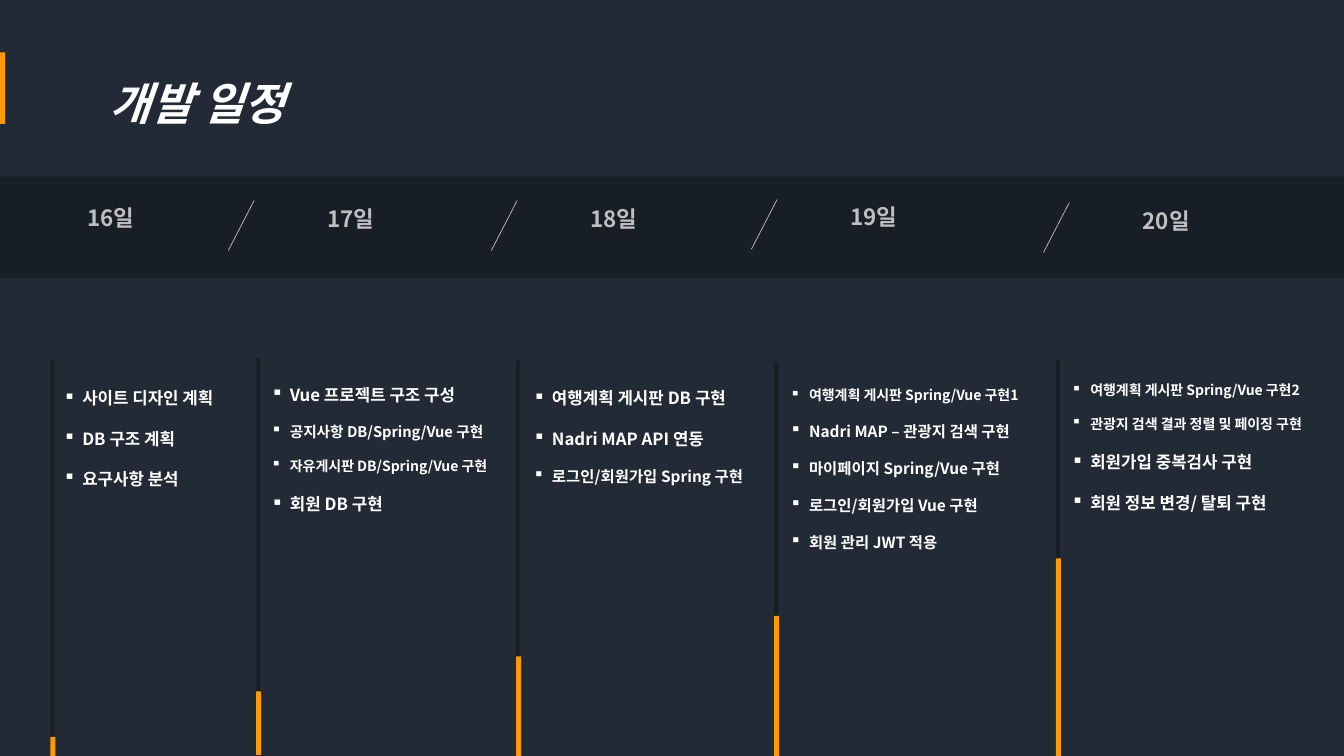
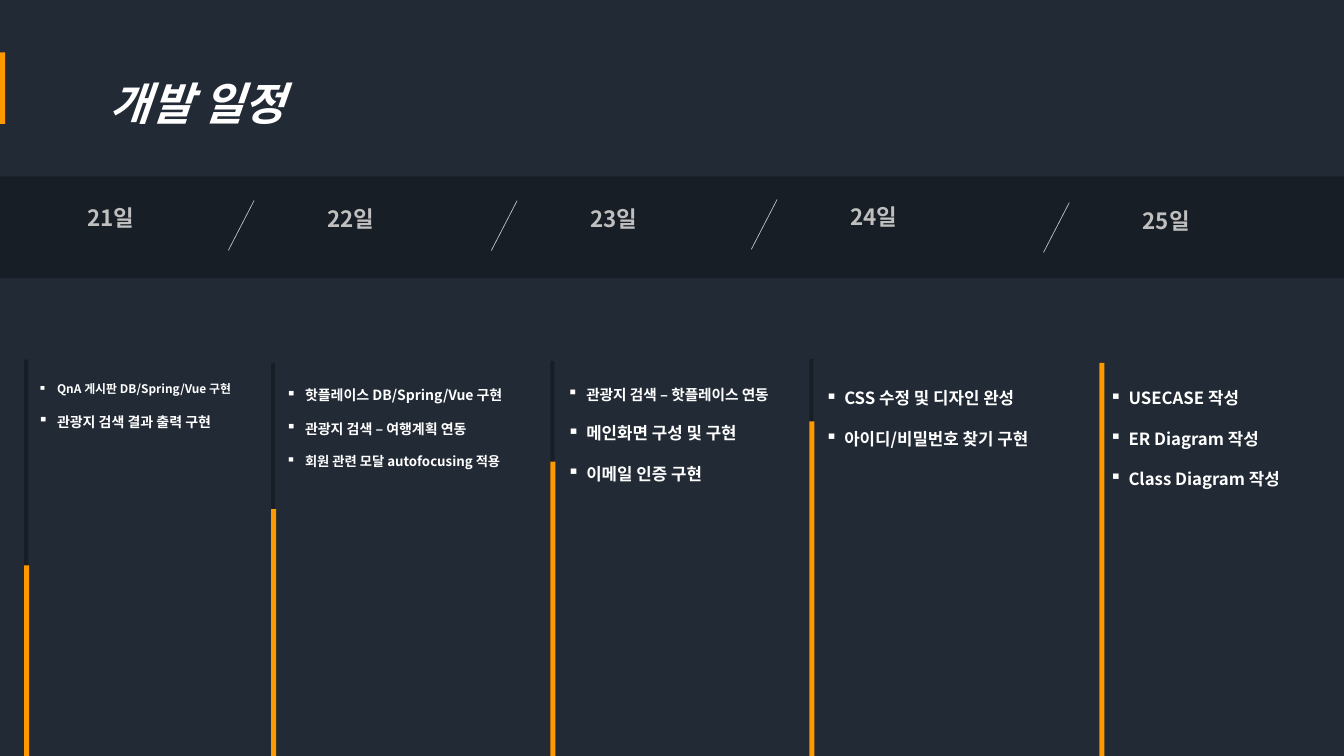
from dataclasses import dataclass

from lxml import etree
from pptx import Presentation
from pptx import util as u
from pptx.dml import color
from pptx.enum import shapes, text
from pptx.oxml import ns

# Shared style
FONT = "Noto Sans CJK KR"
BACK, DARK, ACCENT, GREY, WHITE = "222A35", "181E26", "FF9900", "BFBFBF", "FFFFFF"
PAGE_W, PAGE_H = 960, 540
BAR_W, TRACK_W, TRACK_H = 3.6, 2.9, 283.7
TITLE_INDENT, BULLET_INDENT = 62, 13.5
TITLE = "개발 일정"
TITLE_STYLE = {"size": u.Pt(32), "bold": True, "italic": True}
DAY_STYLE = {"size": u.Pt(16), "bold": True}


@dataclass(frozen=True)
class Box:
    left: float
    top: float
    width: float
    height: float

    def lengths(self) -> list:
        return [u.Pt(v) for v in (self.left, self.top, self.width, self.height)]


@dataclass(frozen=True)
class Task:
    label: str
    size: float = 12


@dataclass(frozen=True)
class Column:
    left: float
    top: float
    progress: float
    task_box: Box
    tasks: list[Task]


@dataclass(frozen=True)
class Schedule:
    first_day: int
    columns: list[Column]


# Day labels (left, top) and the slashes between them (right, top)
DAYS = [(53.3, 132.5), (224.6, 133.2), (412.6, 133.2), (598.3, 131.8), (807.1, 134.6)]
SLASHES = [(181.5, 143.3), (369.4, 143.3), (555.1, 142.5), (763.8, 144.7)]
SLASH_W, SLASH_H = 18.4, 35.6

SCHEDULES = [
    Schedule(16, [
        Column(36, 257, 14.4, Box(38.2, 259.2, 162.7, 90), [
            Task("사이트 디자인 계획"), Task("DB 구조 계획"), Task("요구사항 분석")]),
        Column(182.9, 255.6, 45.4, Box(186.5, 257, 180.7, 110.2), [
            Task("Vue 프로젝트 구조 구성"),
            Task("공지사항 DB/Spring/Vue 구현", 10.5),
            Task("자유게시판 DB/Spring/Vue 구현", 10),
            Task("회원 DB 구현")]),
        Column(368.6, 257.8, 72.7, Box(373.7, 259.2, 176.4, 87.8), [
            Task("여행계획 게시판 DB 구현"),
            Task("Nadri MAP API 연동"),
            Task("로그인/회원가입 Spring 구현", 11)]),
        Column(553, 258.5, 102.2, Box(557.3, 260.6, 195.1, 160.6), [
            Task("여행계획 게시판 Spring/Vue 구현1", 10),
            Task("Nadri MAP – 관광지 검색 구현", 11),
            Task("마이페이지 Spring/Vue 구현", 11),
            Task("로그인/회원가입 Vue 구현", 11),
            Task("회원 관리 JWT 적용", 11)]),
        Column(754.2, 257, 141.8, Box(758.2, 257, 200.9, 109.4), [
            Task("여행계획 게시판 Spring/Vue 구현2", 10),
            Task("관광지 검색 결과 정렬 및 페이징 구현", 10),
            Task("회원가입 중복검사 구현"),
            Task("회원 정보 변경/ 탈퇴 구현")]),
    ]),
    Schedule(21, [
        Column(17.3, 257, 136.8, Box(20.2, 259.2, 163.4, 48.2), [
            Task("QnA 게시판 DB/Spring/Vue 구현", 8.5),
            Task("관광지 검색 결과 출력 구현", 10)]),
        Column(193.7, 259.2, 179.3, Box(197.3, 260.6, 180.7, 132.5), [
            Task("핫플레이스 DB/Spring/Vue 구현", 10),
            Task("관광지 검색 – 여행계획 연동", 10),
            Task("회원 관련 모달 autofocusing 적용", 9.5)]),
        Column(393.1, 257.8, 211.7, Box(398.2, 259.2, 178.6, 86.4), [
            Task("관광지 검색 – 핫플레이스 연동", 10.5),
            Task("메인화면 구성 및 구현"),
            Task("이메일 인증 구현")]),
        Column(578.2, 256.3, 239, Box(582.5, 259.2, 182.9, 60.5), [
            Task("CSS 수정 및 디자인 완성"),
            Task("아이디/비밀번호 찾기 구현")]),
        Column(785.2, 259.2, TRACK_H, Box(785.5, 259.2, 138.2, 90), [
            Task("USECASE 작성"), Task("ER Diagram 작성"), Task("Class Diagram 작성")]),
    ]),
]


# Drawing helpers
def rgb(value: str) -> color.RGBColor:
    return color.RGBColor.from_string(value)


def draw_bar(page, box: Box, fill: str) -> None:
    bar = page.shapes.add_shape(shapes.MSO_SHAPE.RECTANGLE, *box.lengths())
    bar.shadow.inherit = False
    bar.fill.solid()
    bar.fill.fore_color.rgb = rgb(fill)
    bar.line.fill.background()


def draw_slash(page, right: float, top: float) -> None:
    ends = [u.Pt(v) for v in (right, top, right - SLASH_W, top + SLASH_H)]
    slash = page.shapes.add_connector(shapes.MSO_CONNECTOR.STRAIGHT, *ends)
    slash.line.color.rgb = rgb(GREY)
    slash.line.width = u.Pt(0.5)
    etree.SubElement(slash._element.spPr, ns.qn("a:effectLst"))


def add_frame(page, box: Box, wrap: bool = True):
    frame = page.shapes.add_textbox(*box.lengths()).text_frame
    frame.word_wrap = wrap
    frame.auto_size = text.MSO_AUTO_SIZE.SHAPE_TO_FIT_TEXT
    return frame


def write(para, label: str, spacing: float, ink: str, style: dict) -> None:
    para.line_spacing = spacing
    span = para.add_run()
    span.text = label
    for name, value in style.items():
        setattr(span.font, name, value)
    span.font.color.rgb = rgb(ink)
    span.font.name = FONT
    # Hangul takes its typeface from the East Asian slot
    etree.SubElement(span.font._element, ns.qn("a:ea"), typeface=FONT)


def indent(para, left: float, first: float = 0):
    props = para._p.get_or_add_pPr()
    props.set("marL", str(u.Pt(left)))
    props.set("indent", str(u.Pt(first)))
    return props


# Parts of a page
def draw_header(page, first_day: int) -> None:
    draw_bar(page, Box(0, 126, PAGE_W, 72.7), DARK)
    draw_bar(page, Box(0, 37.4, BAR_W, 51.1), ACCENT)
    para = add_frame(page, Box(9.4, 31.7, 434.2, 57.6)).paragraphs[0]
    write(para, TITLE, 1.5, WHITE, TITLE_STYLE)
    indent(para, TITLE_INDENT)
    for right, top in SLASHES:
        draw_slash(page, right, top)
    for day, (left, top) in enumerate(DAYS, first_day):
        para = add_frame(page, Box(left, top, 51.8, 32.4), wrap=False).paragraphs[0]
        para.alignment = text.PP_ALIGN.CENTER
        write(para, f"{day}일", 1.5, GREY, DAY_STYLE)


def draw_column(page, column: Column) -> None:
    draw_bar(page, Box(column.left, column.top, TRACK_W, TRACK_H), DARK)
    start = column.top + TRACK_H - column.progress
    draw_bar(page, Box(column.left, start, BAR_W, column.progress), ACCENT)
    frame = add_frame(page, column.task_box)
    for index, task in enumerate(column.tasks):
        para = frame.add_paragraph() if index else frame.paragraphs[0]
        write(para, task.label, 2, WHITE, {"size": u.Pt(task.size), "bold": True})
        props = indent(para, BULLET_INDENT, -BULLET_INDENT)
        etree.SubElement(props, ns.qn("a:buChar"), char="▪")


# Build the deck
deck = Presentation()
deck.slide_width, deck.slide_height = u.Pt(PAGE_W), u.Pt(PAGE_H)
backdrop = deck.slide_master.background.fill
backdrop.solid()
backdrop.fore_color.rgb = rgb(BACK)
for schedule in SCHEDULES:
    page = deck.slides.add_slide(deck.slide_layouts[6])
    draw_header(page, schedule.first_day)
    for column in schedule.columns:
        draw_column(page, column)
deck.save("out.pptx")
